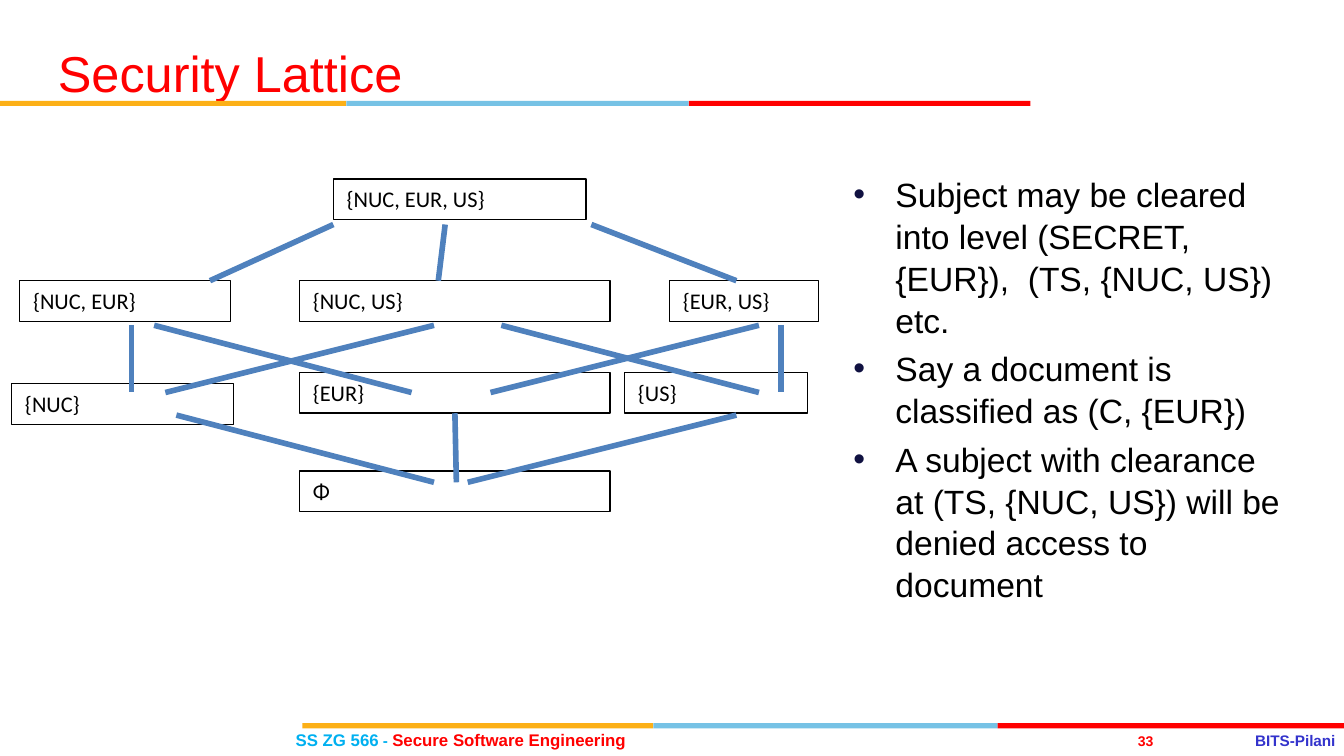
from itertools import pairwise

from lxml import etree
from pptx import Presentation
from pptx.dml.color import RGBColor
from pptx.enum.shapes import MSO_CONNECTOR as CONN, MSO_SHAPE as SHAPE
from pptx.enum.text import MSO_ANCHOR as ANCHOR, MSO_AUTO_SIZE as AUTO, PP_ALIGN as ALIGN
from pptx.oxml.ns import qn
from pptx.util import Pt

RED = RGBColor(0xFF, 0x00, 0x00)
AMBER = RGBColor(0xFC, 0xB0, 0x17)
SKY = RGBColor(0x76, 0xC2, 0xE5)
CYAN = RGBColor(0x00, 0xB0, 0xF0)
INDIGO = RGBColor(0x33, 0x33, 0xCC)
BLUE = RGBColor(0x4F, 0x81, 0xBD)
BLACK = RGBColor(0x00, 0x00, 0x00)
BULLET = RGBColor(0x10, 0x11, 0x41)


def add_run(p, text, size=18, color=BLACK, bold=False, font="Arial"):
    r = p.add_run()
    r.text = text
    r.font.size = Pt(size)
    r.font.color.rgb = color
    r.font.bold = bold
    r.font.name = font


def place(sp, left, top, width, height):
    sp.left, sp.top, sp.width, sp.height = Pt(left), Pt(top), Pt(width), Pt(height)


prs = Presentation()
prs.slide_width, prs.slide_height = Pt(720), Pt(405)
s = prs.slides.add_slide(prs.slide_layouts[1])

strips = [
    (54, (0, 185.5, 369, 552)),
    (387.4, (162, 350, 534.5, 720)),
]
for top, edges in strips:
    for (left, right), color in zip(pairwise(edges), (AMBER, SKY, RED)):
        sp = s.shapes.add_shape(SHAPE.RECTANGLE, Pt(left), Pt(top), Pt(right - left), Pt(2.8))
        sp.shadow.inherit = False
        sp.fill.solid()
        sp.fill.fore_color.rgb = color
        sp.line.fill.background()

footers = [
    (158.4, 391, 198.7, 10.8, ALIGN.LEFT,
     [("SS ZG 566", 9, CYAN), (" - ", 8.2, CYAN), ("Secure Software Engineering", 9, RED)]),
    (604.8, 392.2, 18, 9.6, ALIGN.CENTER, [("33", 7.5, RED)]),
    (672.4, 391.8, 46, 10, ALIGN.JUSTIFY, [("BITS-Pilani", 8.2, INDIGO)]),
]
for left, top, width, height, align, runs in footers:
    tf = s.shapes.add_textbox(Pt(left), Pt(top), Pt(width), Pt(height)).text_frame
    tf.margin_left = tf.margin_right = tf.margin_top = tf.margin_bottom = 0
    tf.vertical_anchor = ANCHOR.MIDDLE
    tf.word_wrap = True
    p = tf.paragraphs[0]
    p.alignment = align
    for text, size, color in runs:
        add_run(p, text, size=size, color=color, bold=True)

title = s.shapes.title
place(title, 23.8, 16.6, 497.5, 49.7)
tf = title.text_frame
tf.auto_size = AUTO.NONE
tf.vertical_anchor = ANCHOR.MIDDLE
p = tf.paragraphs[0]
p.alignment = ALIGN.LEFT
p.line_spacing = Pt(27)
add_run(p, "Security Lattice", size=27, color=RED)

body = s.placeholders[1]
place(body, 450, 88.6, 249.8, 267)
tf = body.text_frame
tf.auto_size = AUTO.NONE
points = [
    "Subject may be cleared into level (SECRET, {EUR}),  (TS, {NUC, US}) etc.",
    "Say a document is classified as (C, {EUR})",
    "A subject with clearance at (TS, {NUC, US}) will be denied access to document",
]
for i, text in enumerate(points):
    p = tf.add_paragraph() if i else tf.paragraphs[0]
    pPr = p._p.get_or_add_pPr()
    pPr.set("marL", str(Pt(22.5)))
    pPr.set("indent", str(-Pt(22.5)))
    clr = etree.SubElement(pPr, qn("a:buClr"))
    etree.SubElement(clr, qn("a:srgbClr"), val=str(BULLET))
    etree.SubElement(pPr, qn("a:buFont"), typeface="Arial")
    etree.SubElement(pPr, qn("a:buChar"), char="•")
    p.space_before = Pt(3.6 if i else 0)
    p.line_spacing = 1.04
    add_run(p, text)

nodes = [
    ("{NUC, EUR, US}", 178.6, 95.8, 135.4),
    ("{NUC, EUR}", 10.6, 150.4, 112.8),
    ("{NUC, US}", 160.5, 150.4, 166.4),
    ("{EUR, US}", 358.7, 150.4, 79.8),
    ("{NUC}", 6.3, 205.5, 118.8),
    ("{EUR}", 160.5, 199.6, 166.4),
    ("{US}", 334.7, 199.6, 97.8),
    ("Φ", 160.5, 252.3, 166.4),
]
boxes = {}
for text, left, top, width in nodes:
    sp = s.shapes.add_shape(SHAPE.RECTANGLE, Pt(left), Pt(top), Pt(width), Pt(21.8))
    sp.shadow.inherit = False
    sp.fill.background()
    sp.line.color.rgb = BLACK
    sp.line.width = Pt(0.75)
    tf = sp.text_frame
    tf.word_wrap = True
    tf.vertical_anchor = ANCHOR.TOP
    p = tf.paragraphs[0]
    p.alignment = ALIGN.LEFT
    add_run(p, text, size=12, font="Calibri")
    boxes[text] = sp

links = [
    (120.3, 150.4, [(178.6, 112.5), (238.5, 234.8), (316.8, 394.5)]),
    (174.3, 210.3, [(82.6, 220.5), (70.5, 70.5), (268.6, 406.6),
                    (232.5, 88.6), (406.6, 262.8), (418.5, 418.5)]),
    (222.4, 258.4, [(244.5, 244.5), (394.5, 250.6), (94.5, 232.5)]),
]
for top, bottom, spans in links:
    for start, end in spans:
        line = s.shapes.add_connector(CONN.STRAIGHT, Pt(start), Pt(top), Pt(end), Pt(bottom))
        line.line.color.rgb = BLUE
        line.line.width = Pt(3)
        etree.SubElement(line._element.spPr, qn("a:effectLst"))
        if (start, top) == (244.5, 222.4):
            line.begin_connect(boxes["{EUR}"], 2)

prs.save("out.pptx")
